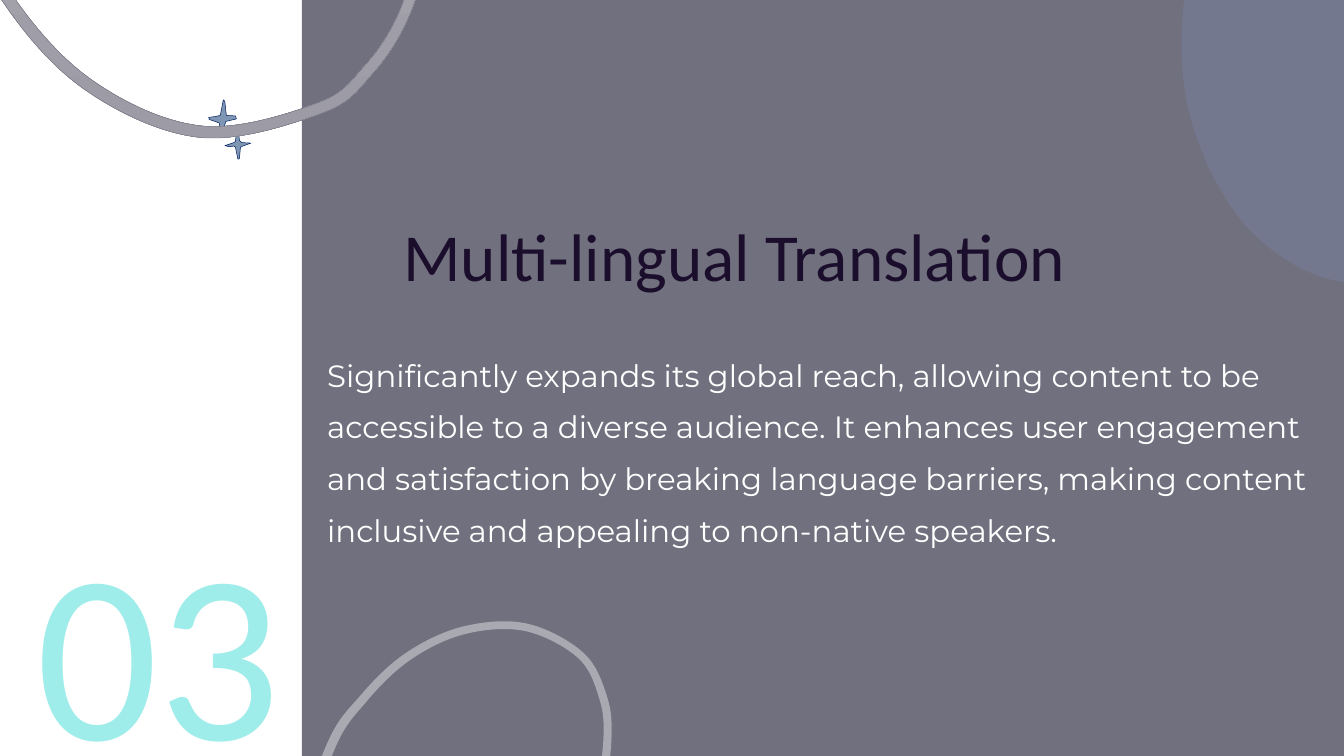
from lxml.etree import SubElement
from pptx import Presentation
from pptx.dml.color import RGBColor
from pptx.enum.shapes import MSO_SHAPE
from pptx.enum.text import MSO_ANCHOR, MSO_AUTO_SIZE, PP_ALIGN
from pptx.oxml.ns import qn
from pptx.util import Cm, Pt

WHITE = RGBColor(0xFF, 0xFF, 0xFF)
SLATE = RGBColor(0x71, 0x70, 0x7E)
STEEL = RGBColor(0x7E, 0x95, 0xB3)
NAVY = RGBColor(0x00, 0x20, 0x60)
PERIWINKLE = RGBColor(0x82, 0x99, 0xCE)
LIGHT_GREY = RGBColor(0xB6, 0xB5, 0xBC)
DARK_GREY = RGBColor(0x9D, 0x9C, 0xA6)
AQUA = RGBColor(0x9F, 0xED, 0xEA)
PLUM = RGBColor(0x1B, 0x0E, 0x2C)

GRID = Cm(2.54)
RING_SHIFT = (7.37, 24.3)

UPPER_STAR = [
    (4.14, 2.33), (4.28, 2.31), (4.37, 2.29), (4.43, 1.98), (4.46, 2.01),
    (4.49, 2.29), (4.67, 2.3), (4.69, 2.36), (4.48, 2.41), (4.39, 2.69),
    (4.35, 2.44), (4.15, 2.37),
]
LOWER_STAR = [
    (4.98, 2.84), (4.8, 2.83), (4.75, 2.79), (4.73, 2.57), (4.7, 2.56),
    (4.67, 2.81), (4.61, 2.84), (4.46, 2.89), (4.54, 2.91), (4.64, 2.9),
    (4.67, 2.92), (4.72, 3.16), (4.75, 3.15), (4.77, 2.92), (4.84, 2.89),
]
BLOB = [
    (24.77, 4.54), (23.58, 2.2), (23.56, -0.43), (24.46, -2.11),
    (26.25, -2.54), (27.22, -1.55), (27.4, -0.15), (27.69, 1.8),
    (28.43, 2.24), (28.75, 4.68), (26.76, 5.6),
]
RING_OUTSIDE = [
    (0.69, -11.35), (1.82, -11.87), (3.07, -11.93), (4.18, -11.37),
    (4.65, -10.55), (4.76, -9.62), (4.55, -7.79), (4.57, -6.59),
    (4.95, -5.46), (5.64, -4.5), (6.59, -3.77), (7.63, -3.11),
    (8.34, -2.06), (8.42, -0.8), (8.08, 0.4), (7.4, 1.45),
    (6.42, 2.23), (4, 2.73), (1.7, 1.79), (0.02, -0.02),
    (-1.02, -2.26), (-1.6, -4.65), (-1.64, -7.12), (-0.91, -9.48),
    (-0.22, -10.5),
]
RING_INSIDE = [
    (0.79, -11.22), (-0.09, -10.39), (-0.75, -9.39), (-1.45, -7.1),
    (-1.4, -4.68), (-0.82, -2.33), (0.21, -0.15), (1.84, 1.6),
    (4.02, 2.5), (6.31, 2.04), (7.24, 1.3), (7.89, 0.31),
    (8.21, -0.83), (8.14, -2), (7.5, -2.95), (6.49, -3.6),
    (5.51, -4.36), (4.78, -5.38), (4.39, -6.56), (4.38, -7.81),
    (4.6, -9.62), (4.5, -10.5), (4.08, -11.26), (3.04, -11.78),
    (1.86, -11.72),
]
RING = [RING_OUTSIDE, RING_INSIDE]


def round_contour(segments):
    anchors = [(int(segment[0].get("x")), int(segment[0].get("y")))
               for segment in segments]
    count = len(anchors)
    previous = segments[0]
    for segment in segments[1:]:
        segment.getparent().remove(segment)
    for index, start in enumerate(anchors):
        before = anchors[index - 1]
        end = anchors[(index + 1) % count]
        after = anchors[(index + 2) % count]
        first = [s + (e - b) / 6 for b, s, e in zip(before, start, end)]
        second = [e - (a - s) / 6 for s, e, a in zip(start, end, after)]
        curve = SubElement(previous.getparent(), qn("a:cubicBezTo"))
        for x, y in (first, second, end):
            SubElement(curve, qn("a:pt"), x=str(round(x)), y=str(round(y)))
        previous.addnext(curve)
        previous = curve


def round_outline(shape):
    for outline in shape._element.iter(qn("a:path")):
        segments = []
        for segment in list(outline):
            if segment.tag == qn("a:close"):
                round_contour(segments)
                segments = []
            else:
                segments.append(segment)


class SlideBuilder:
    def __init__(self, slide):
        self.slide = slide

    def paint(self, shape, color, alpha=100, line=None, line_width=0.75):
        shape.shadow.inherit = False
        shape.fill.solid()
        shape.fill.fore_color.rgb = color
        if alpha < 100:
            color_node = shape.fill._xPr.find(qn("a:solidFill"))[0]
            SubElement(color_node, qn("a:alpha"), val=str(alpha * 1000))
        if line is None:
            shape.line.fill.background()
        else:
            shape.line.color.rgb = line
            shape.line.width = Pt(line_width)

    def panel(self, left, top, width, height, color):
        shape = self.slide.shapes.add_shape(
            MSO_SHAPE.RECTANGLE, Cm(left), Cm(top), Cm(width), Cm(height))
        self.paint(shape, color)

    def outline(self, contours, color, shift=(0, 0), parent=None, **style):
        shapes = (parent or self.slide).shapes
        builder = None
        for contour in contours:
            points = [((x + shift[0]) * GRID, (y + shift[1]) * GRID)
                      for x, y in contour]
            if builder is None:
                builder = shapes.build_freeform(*points[0])
            else:
                builder.move_to(*points[0])
            builder.add_line_segments(points[1:], close=True)
        shape = builder.convert_to_shape()
        self.paint(shape, color, **style)
        return shape

    def curve(self, contours, color, **style):
        shape = self.outline(contours, color, **style)
        round_outline(shape)
        return shape

    def stars(self, outlines):
        group = self.slide.shapes.add_group_shape()
        for points in outlines:
            self.outline([points], STEEL, parent=group, line=NAVY)

    def grade(self, shape, start, end):
        shape.fill.gradient()
        shape.fill.gradient_angle = 270
        for stop, color, position in zip(
                shape.fill.gradient_stops, (start, end), (0, 1)):
            stop.color.rgb = color
            stop.position = position

    def text(self, box, area, text, font, size, color,
             align=PP_ALIGN.LEFT, anchor=MSO_ANCHOR.BOTTOM, spacing=1.0):
        box.left, box.top, box.width, box.height = map(Cm, area)
        self.slide.shapes._spTree.append(box._element)
        frame = box.text_frame
        frame.word_wrap = True
        frame.auto_size = MSO_AUTO_SIZE.SHAPE_TO_FIT_TEXT
        frame.vertical_anchor = anchor
        para = frame.paragraphs[0]
        para.alignment = align
        para.line_spacing = spacing
        para.space_before = Pt(0)
        properties = para._p.get_or_add_pPr()
        properties.set("marL", "0")
        properties.set("indent", "0")
        SubElement(properties, qn("a:buNone"))
        span = para.add_run()
        span.text = text
        span.font.name = font
        span.font.size = Pt(size)
        span.font.color.rgb = color


def main():
    deck = Presentation()
    deck.slide_width, deck.slide_height = Cm(67.72), Cm(38.1)
    slide = deck.slides.add_slide(deck.slide_layouts[1])
    slide.background.fill.solid()
    slide.background.fill.fore_color.rgb = WHITE
    builder = SlideBuilder(slide)

    builder.panel(15.21, 0, 52.73, 38.1, SLATE)
    builder.stars([UPPER_STAR, LOWER_STAR])
    builder.curve([BLOB], PERIWINKLE, alpha=20)
    builder.curve(RING, WHITE, shift=RING_SHIFT, alpha=40)
    top_ring = builder.curve(RING, LIGHT_GREY, line=SLATE, line_width=0.5)
    builder.grade(top_ring, LIGHT_GREY, DARK_GREY)

    number_box = slide.shapes.add_textbox(0, 0, 0, 0)
    builder.text(number_box, (-6.2, 24.89, 20.6, 14.96), "03",
                 "Calibri", 344, AQUA, align=PP_ALIGN.RIGHT)
    builder.text(slide.shapes.title, (20.07, 10.64, 48.23, 4.37),
                 "Multi-lingual Translation", "Calibri", 96, PLUM)
    builder.text(
        slide.placeholders[1], (16.23, 17.09, 50.65, 10.54),
        "Significantly expands its global reach, allowing content to be "
        "accessible to a diverse audience. It enhances user engagement and "
        "satisfaction by breaking language barriers, making content inclusive "
        "and appealing to non-native speakers.",
        "Montserrat", 44, WHITE, anchor=MSO_ANCHOR.TOP, spacing=1.4)
    deck.save("out.pptx")


if __name__ == "__main__":
    main()
